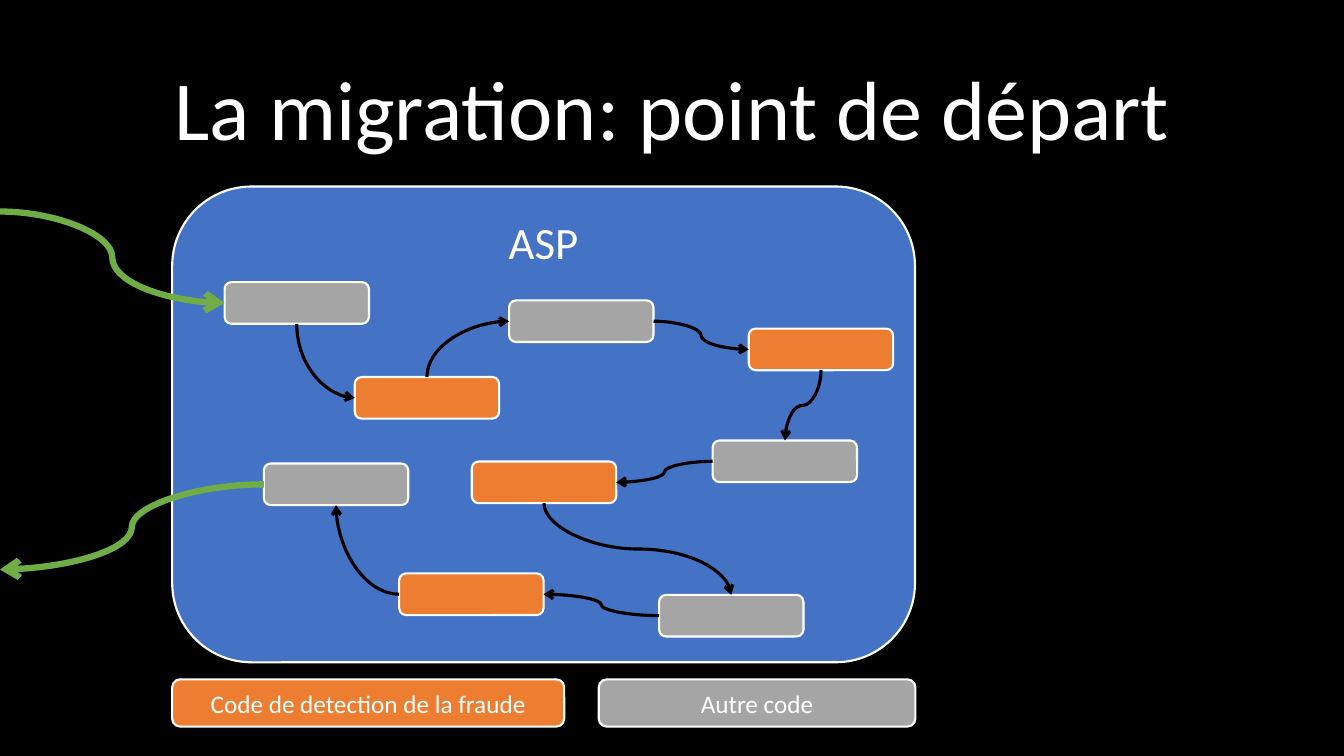
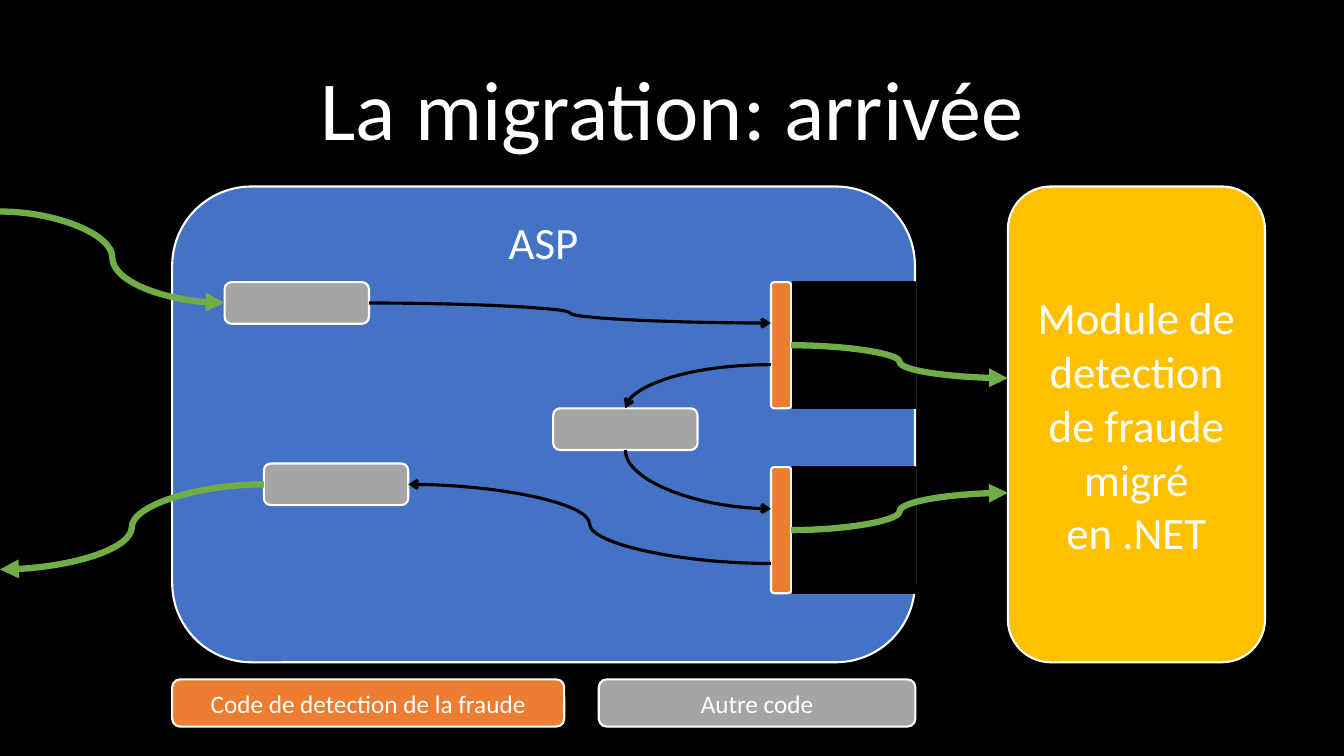
from lxml.etree import SubElement
from pptx import Presentation
from pptx.dml.color import RGBColor
from pptx.enum.shapes import MSO_CONNECTOR, MSO_SHAPE
from pptx.enum.text import MSO_ANCHOR, PP_ALIGN
from pptx.oxml.ns import qn
from pptx.util import Cm, Pt

# Shared look
FONT = "Calibri"
BLACK, WHITE = "000000", "FFFFFF"
BLUE, ORANGE, GREY, GREEN, YELLOW = "4472C4", "ED7D31", "A5A5A5", "70AD47", "FFC000"

# Shared measures, in centimetres
SYSTEM_LEFT, SYSTEM_TOP, SYSTEM_WIDTH, SYSTEM_HEIGHT = 4.34, 4.7, 18.72, 11.99
CODE_WIDTH, CODE_HEIGHT = 3.64, 1.05
BAR_LEFT, BAR_WIDTH, BAR_HEIGHT = 19.43, 0.51, 3.18
MODULE_LEFT = 25.4

# Connection sites of a box
TOP, LEFT, BOTTOM, RIGHT = range(4)


def colour(hex_string):
    return RGBColor.from_string(hex_string)


def write(shape, text, size=18, color=WHITE, anchor=MSO_ANCHOR.MIDDLE, spacing=None):
    frame = shape.text_frame
    frame.word_wrap = True
    frame.vertical_anchor = anchor
    paragraph = frame.paragraphs[0]
    paragraph.alignment = PP_ALIGN.CENTER
    paragraph.line_spacing = spacing
    run = paragraph.add_run()
    run.text = text
    run.font.name = FONT
    run.font.size = Pt(size)
    run.font.color.rgb = colour(color)


def box(slide, left, top, width, height, fill, line=WHITE, weight=1.5,
        preset=MSO_SHAPE.ROUNDED_RECTANGLE):
    shape = slide.shapes.add_shape(preset, Cm(left), Cm(top), Cm(width), Cm(height))
    shape.shadow.inherit = False
    shape.fill.solid()
    shape.fill.fore_color.rgb = colour(fill)
    shape.line.color.rgb = colour(line)
    shape.line.width = Pt(weight)
    return shape


def code(slide, left, top, fill=GREY):
    return box(slide, left, top, CODE_WIDTH, CODE_HEIGHT, fill)


def resolve(end):
    """Return x, y and whether the curve leaves vertically there."""
    place, site = end
    if isinstance(place, (int, float)):
        return Cm(place), Cm(site), False
    x = place.left + place.width * {LEFT: 0, RIGHT: 2}.get(site, 1) // 2
    y = place.top + place.height * {TOP: 0, BOTTOM: 2}.get(site, 1) // 2
    return x, y, site in (TOP, BOTTOM)


def curve(slide, start, end, color=BLACK, weight=2.25, head="arrow"):
    """Curved arrow; each end is (box, site) or a point (x, y)."""
    x1, y1, vertical = resolve(start)
    x2, y2, vertical_end = resolve(end)
    link = slide.shapes.add_connector(MSO_CONNECTOR.CURVE, x1, y1, x2, y2)
    if not isinstance(start[0], (int, float)):
        link.begin_connect(*start)
    if not isinstance(end[0], (int, float)):
        link.end_connect(*end)
    properties = link._element.spPr
    if vertical:
        # A vertical start is the horizontal curve turned a quarter about its centre
        turn = 270 if x2 > x1 and y2 > y1 else 90
        sign = 1 if turn == 90 else -1
        run, rise = sign * (y2 - y1), sign * (x1 - x2)
        link.begin_x, link.begin_y = (x1 + x2 - run) // 2, (y1 + y2 - rise) // 2
        link.end_x, link.end_y = (x1 + x2 + run) // 2, (y1 + y2 + rise) // 2
        properties.find(qn("a:xfrm")).set("rot", str(turn * 60000))
    if vertical != vertical_end:
        properties.find(qn("a:prstGeom")).set("prst", "curvedConnector2")
    link.line.color.rgb = colour(color)
    link.line.width = Pt(weight)
    SubElement(properties.find(qn("a:ln")), qn("a:tailEnd"), type=head)
    SubElement(properties, qn("a:effectLst"))


def flow(slide, start, end, head="triangle"):
    curve(slide, start, end, GREEN, 4.5, head)


def base_slide(prs, title):
    """Title, ASP system and legend, with the entry and exit code."""
    slide = prs.slides.add_slide(prs.slide_layouts.get_by_name("Title Only"))
    heading = slide.shapes.title
    heading.left, heading.top = Cm(2.33), Cm(1.01)
    heading.width, heading.height = Cm(29.21), Cm(3.68)
    write(heading, title, size=60, spacing=0.9)

    system = box(slide, SYSTEM_LEFT, SYSTEM_TOP, SYSTEM_WIDTH, SYSTEM_HEIGHT, BLUE)
    write(system, "ASP", size=32, anchor=MSO_ANCHOR.TOP)
    for left, width, fill, label in (
            (SYSTEM_LEFT, 9.88, ORANGE, "Code de detection de la fraude"),
            (15.09, 7.98, GREY, "Autre code")):
        write(box(slide, left, 17.12, width, 1.19, fill), label)
    return slide, code(slide, 5.66, 7.11), code(slide, 6.65, 11.68)


def outside_flows(slide, entry, leaving, head):
    flow(slide, (0, 5.33), (entry, LEFT), head)
    flow(slide, (leaving, LEFT), (0, 14.35), head)


def departure(prs):
    slide, entry, leaving = base_slide(prs, "La migration: point de départ")
    # Code in order of execution
    fraud_a = code(slide, 8.94, 9.5, ORANGE)
    other_a = code(slide, 12.83, 7.57)
    fraud_b = code(slide, 18.87, 8.28, ORANGE)
    other_b = code(slide, 17.96, 11.1)
    fraud_c = code(slide, 11.89, 11.63, ORANGE)
    other_c = code(slide, 16.61, 14.99)
    fraud_d = code(slide, 10.06, 14.45, ORANGE)
    for start, end in (
            ((entry, BOTTOM), (fraud_a, LEFT)),
            ((fraud_a, TOP), (other_a, LEFT)),
            ((other_a, RIGHT), (fraud_b, LEFT)),
            ((fraud_b, BOTTOM), (other_b, TOP)),
            ((other_b, LEFT), (fraud_c, RIGHT)),
            ((fraud_c, BOTTOM), (other_c, TOP)),
            ((other_c, LEFT), (fraud_d, RIGHT)),
            ((fraud_d, LEFT), (leaving, BOTTOM))):
        curve(slide, start, end)
    outside_flows(slide, entry, leaving, "arrow")


def arrival(prs):
    slide, entry, leaving = base_slide(prs, "La migration: arrivée")
    other = code(slide, 13.94, 10.29)
    module = box(slide, MODULE_LEFT, SYSTEM_TOP, 6.48, SYSTEM_HEIGHT, YELLOW)
    write(module, "Module de detection de fraude migré en .NET", size=32)

    # Thin fraud interfaces, cut out of the system and calling the module
    first_top, second_top = 7.11, 11.77
    for top, module_y in ((first_top, 9.53), (second_top, 12.42)):
        interface = box(slide, BAR_LEFT, top, BAR_WIDTH, BAR_HEIGHT, ORANGE)
        box(slide, 19.99, top, 3.07, BAR_HEIGHT, BLACK, BLACK, 1, MSO_SHAPE.RECTANGLE)
        flow(slide, (interface, RIGHT), (MODULE_LEFT, module_y))

    # Remaining path inside the system
    for start, end in (
            ((entry, RIGHT), (BAR_LEFT, first_top + 1.03)),
            ((BAR_LEFT, first_top + 2.08), (other, TOP)),
            ((other, BOTTOM), (BAR_LEFT, second_top + 1.05)),
            ((BAR_LEFT, second_top + 2.43), (leaving, RIGHT))):
        curve(slide, start, end)
    outside_flows(slide, entry, leaving, "triangle")


def main():
    prs = Presentation()
    prs.slide_width, prs.slide_height = Cm(33.87), Cm(19.05)
    background = prs.slide_master.background.fill
    background.solid()
    background.fore_color.rgb = colour(BLACK)
    departure(prs)
    arrival(prs)
    prs.save("out.pptx")


main()
